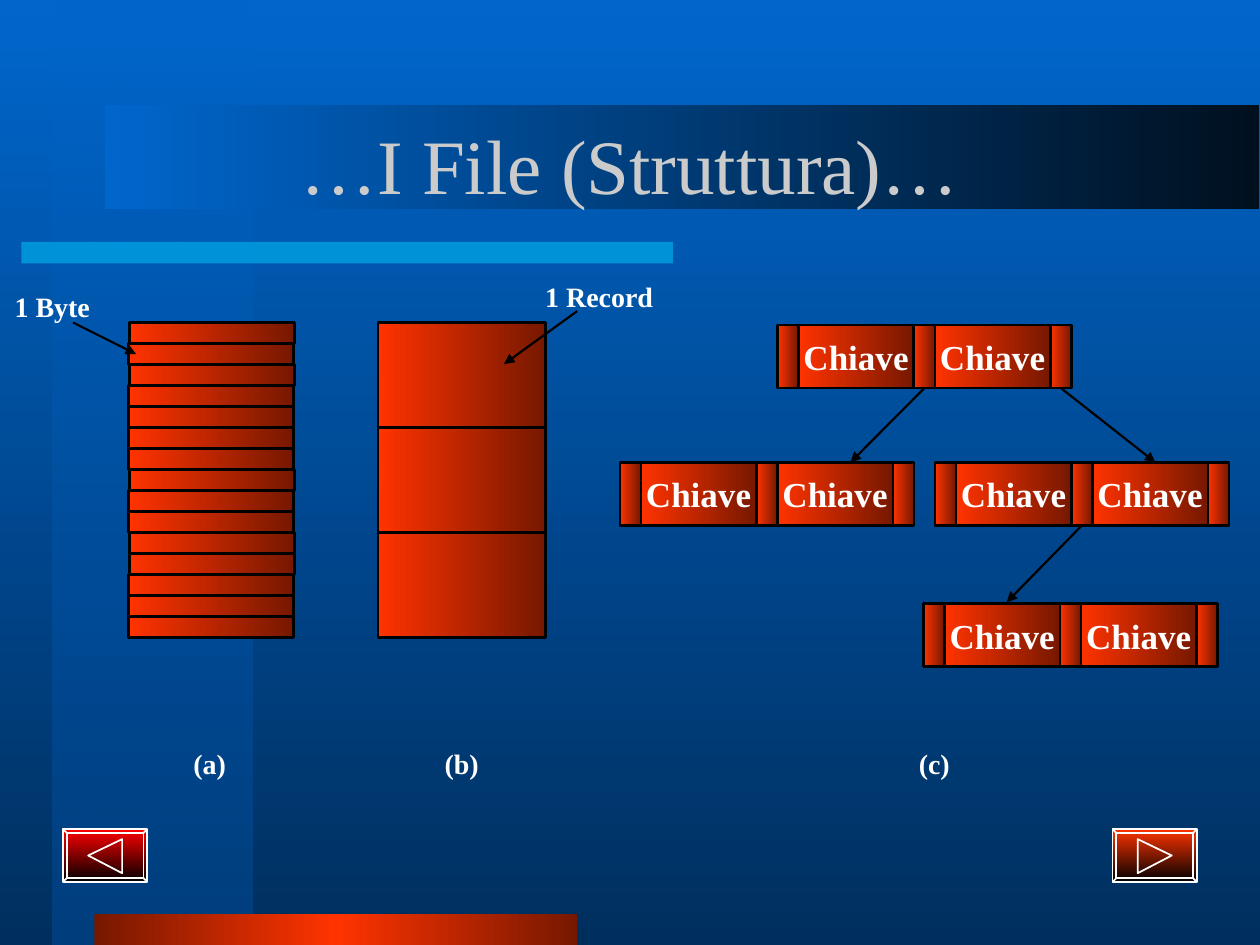
from copy import deepcopy
from dataclasses import dataclass

from lxml import etree
from pptx import Presentation
from pptx.dml.color import RGBColor
from pptx.enum.shapes import MSO_CONNECTOR, MSO_SHAPE
from pptx.enum.text import MSO_ANCHOR, MSO_AUTO_SIZE, PP_ALIGN
from pptx.oxml.ns import qn
from pptx.util import Inches, Pt

RECTANGLE = MSO_SHAPE.RECTANGLE
STRAIGHT = MSO_CONNECTOR.STRAIGHT
CENTER = PP_ALIGN.CENTER
MIDDLE = MSO_ANCHOR.MIDDLE
FIT_SHAPE = MSO_AUTO_SIZE.SHAPE_TO_FIT_TEXT
BOTTOM_SITE = 2
ACROSS, DOWN = 0, 270


@dataclass(frozen=True)
class Theme:
    font: str = "Times New Roman"
    title_size: int = 44
    key_size: int = 20
    label_size: int = 16
    title: str = "CBCBCB"
    text: str = "FFFFFF"
    outline: str = "000000"
    accent: str = "00CCFF"
    sky: str = "0066CC"
    deep: str = "002F5E"
    side: str = "003F7E"
    night: str = "00101F"
    bright: str = "FF3300"
    dark: str = "761800"
    back_button: str = "FF0000"
    thick: float = 1.5
    thin: float = 1.25
    button_line: float = 1


def set_gradient(fill, colors, angle):
    """Spread two colours evenly over a fill."""
    fill.gradient()
    fill.gradient_angle = angle
    for stop, color, position in zip(fill.gradient_stops, colors, (0, 1)):
        stop.color.rgb = RGBColor.from_string(color)
        stop.position = position


def set_alpha(shape, percent):
    """Make the first colour of a shape's fill partly transparent."""
    color = next(shape._element.spPr.iter(qn("a:srgbClr")))
    etree.SubElement(color, qn("a:alpha"), val=str(percent * 1000))


def mirror_gradient(shape):
    """Turn a two-stop gradient into first - second - first."""
    stops = next(shape._element.spPr.iter(qn("a:gsLst")))
    last = deepcopy(stops[0])
    last.set("pos", "100000")
    stops[1].set("pos", "50000")
    stops.append(last)


class SlideBuilder:
    def __init__(self, slide, theme):
        self.slide = slide
        self.shapes = slide.shapes
        self.theme = theme

    def outline(self, shape, color, width):
        shape.line.color.rgb = RGBColor.from_string(color)
        shape.line.width = Pt(width)

    def box(self, left, top, width, height, colors, angle=ACROSS, line=None, line_color=None):
        """Rectangle with one plain colour or a two-colour gradient."""
        shape = self.shapes.add_shape(
            RECTANGLE, Inches(left), Inches(top), Inches(width), Inches(height))
        shape.shadow.inherit = False
        if len(colors) == 1:
            shape.fill.solid()
            shape.fill.fore_color.rgb = RGBColor.from_string(colors[0])
        else:
            set_gradient(shape.fill, colors, angle)
        if line:
            self.outline(shape, line_color or self.theme.outline, line)
        else:
            shape.line.fill.background()
        return shape

    def block(self, left, top, width, height, line):
        return self.box(left, top, width, height,
                        (self.theme.bright, self.theme.dark), line=line)

    def set_text(self, shape, text, size, color, bold=True):
        frame = shape.text_frame
        frame.text = text
        paragraph = frame.paragraphs[0]
        paragraph.alignment = CENTER
        font = paragraph.runs[0].font
        font.name, font.size, font.bold = self.theme.font, Pt(size), bold
        font.color.rgb = RGBColor.from_string(color)
        return frame

    def text_box(self, left, top, width, height):
        box = self.shapes.add_textbox(
            Inches(left), Inches(top), Inches(width), Inches(height))
        box.text_frame.word_wrap = True
        return box

    def title(self, text):
        box = self.text_box(0.75, 0.67, 8.5, 1.25)
        frame = self.set_text(box, text, self.theme.title_size, self.theme.title, bold=False)
        frame.vertical_anchor = MIDDLE

    def label(self, text, left, top):
        box = self.text_box(left, top, 1.17, 0.37)
        frame = self.set_text(box, text, self.theme.label_size, self.theme.text)
        frame.auto_size = FIT_SHAPE

    def arrow(self, start, end, source=None):
        connector = self.shapes.add_connector(
            STRAIGHT, *(Inches(value) for value in (*start, *end)))
        if source is not None:
            connector.begin_connect(source, BOTTOM_SITE)
        self.outline(connector, self.theme.outline, self.theme.thin)
        properties = connector._element.spPr
        etree.SubElement(properties.find(qn("a:ln")), qn("a:tailEnd"), type="triangle")
        etree.SubElement(properties, qn("a:effectLst"))

    def tree_node(self, left, top):
        """Draw pointer, key, pointer, key, pointer; return the pointers."""
        pointer, key, height = 1 / 6, 11 / 12, 0.5
        pitch = pointer + key
        pointers = [self.block(left + i * pitch, top, pointer, height, self.theme.thick)
                    for i in range(3)]
        for i in range(2):
            cell = self.block(left + pointer + i * pitch, top, key, height, self.theme.thick)
            frame = self.set_text(cell, "Chiave", self.theme.key_size, self.theme.text)
            frame.word_wrap = False
            frame.vertical_anchor = MIDDLE
            frame.margin_left = frame.margin_right = Inches(0.05)
        return pointers

    def nav_button(self, left, color, triangle):
        """Bevelled button; triangle holds points relative to its corner."""
        top, width, height, rim = 6.58, 0.67, 0.42, 0.03
        line, line_color = self.theme.button_line, self.theme.text
        self.box(left, top, width, height, (color, self.theme.outline), DOWN, line, line_color)

        outer = [(0, 0), (width, 0), (width, height), (0, height)]
        inner = [(rim, rim), (width - rim, rim),
                 (width - rim, height - rim), (rim, height - rim)]
        contours = [inner + inner[:1], triangle + triangle[:1], *zip(outer, inner)]
        builder = None
        for contour in contours:
            first, *others = [(Inches(left + x), Inches(top + y)) for x, y in contour]
            if builder is None:
                builder = self.shapes.build_freeform(*first)
            else:
                builder.move_to(*first)
            builder.add_line_segments(others, close=False)
        bevel = builder.convert_to_shape()
        bevel.shadow.inherit = False
        bevel.fill.background()
        self.outline(bevel, line_color, line)

    def backdrop(self):
        theme = self.theme
        set_gradient(self.slide.background.fill, (theme.sky, theme.deep), DOWN)
        set_alpha(self.box(0.42, 0, 1.58, 7.5, (theme.sky, theme.side), DOWN), 50)
        set_alpha(self.box(0.17, 1.92, 5.17, 0.17, (theme.accent,)), 50)
        mirror_gradient(self.box(0.75, 7.25, 3.83, 0.25, (theme.dark, theme.bright)))
        self.box(0.83, 0.83, 9.16, 0.83, (theme.sky, theme.night))


def main():
    presentation = Presentation()
    presentation.slide_width, presentation.slide_height = Inches(10), Inches(7.5)
    theme = Theme()
    page = SlideBuilder(presentation.slides.add_slide(presentation.slide_layouts[6]), theme)

    page.backdrop()
    page.nav_button(8.83, theme.bright, [(0.2, 0.08), (0.47, 0.21), (0.2, 0.35)])
    page.nav_button(0.5, theme.back_button, [(0.2, 0.21), (0.47, 0.08), (0.47, 0.35)])
    page.title("…I File (Struttura)…")

    structure_top = 2.56
    shifted_bytes = {0, 2, 7, 10, 11}
    for row in range(15):
        left = 1.03 if row in shifted_bytes else 1.02
        page.block(left, structure_top + row / 6, 1.31, 1 / 6, theme.thick)
    page.arrow((0.58, 2.56), (1.08, 2.81))

    for row in range(3):
        page.block(3, structure_top + row * 5 / 6, 1.33, 5 / 6, theme.thin)
    page.arrow((4.58, 2.47), (4, 2.89))

    root = page.tree_node(6.17, 2.58)
    page.tree_node(4.92, 3.67)
    right_child = page.tree_node(7.42, 3.67)
    page.tree_node(7.33, 4.79)
    page.arrow((7.33, 3.08), (6.75, 3.67), root[1])
    page.arrow((8.42, 3.08), (9.17, 3.67), root[2])
    page.arrow((8.58, 4.17), (7.99, 4.78), right_child[1])

    for text, left, top in (("1 Byte", -0.17, 2.25), ("1 Record", 4.17, 2.17),
                            ("(a)", 1.08, 5.88), ("(b)", 3.08, 5.88), ("(c)", 6.83, 5.88)):
        page.label(text, left, top)

    presentation.save("out.pptx")


if __name__ == "__main__":
    main()
